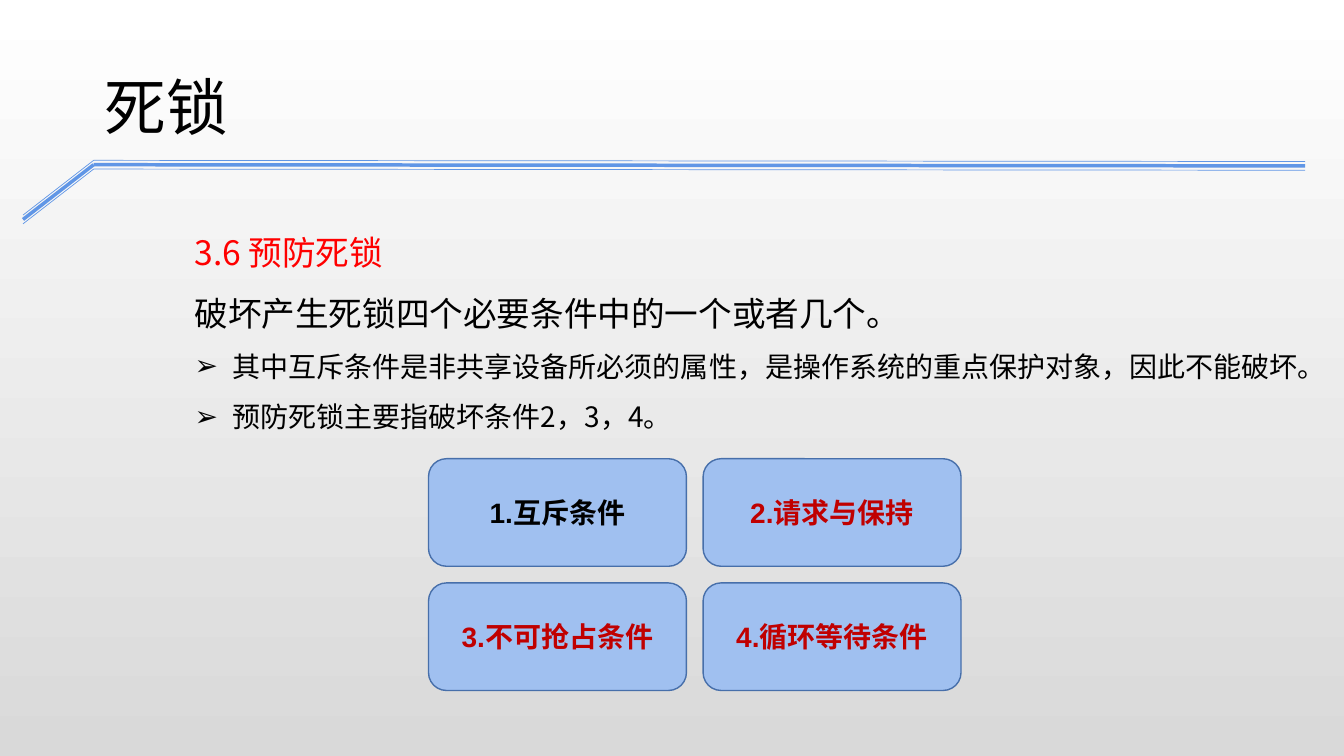
from lxml import etree
from pptx import Presentation
from pptx.dml.color import RGBColor
from pptx.enum.shapes import MSO_CONNECTOR, MSO_SHAPE
from pptx.enum.text import MSO_ANCHOR, MSO_AUTO_SIZE, PP_ALIGN
from pptx.oxml.ns import qn
from pptx.util import Cm, Pt

STRAIGHT = MSO_CONNECTOR.STRAIGHT
ROUNDED = MSO_SHAPE.ROUNDED_RECTANGLE
TOP, MIDDLE = MSO_ANCHOR.TOP, MSO_ANCHOR.MIDDLE
NO_FIT = MSO_AUTO_SIZE.NONE
LEFT, CENTER = PP_ALIGN.LEFT, PP_ALIGN.CENTER

# Content
COLORS = {"black": "000000", "red": "FF0000", "dark_red": "C00000",
          "box": "A0C0F0", "box_line": "476FAA", "rail": "6096E6",
          "bg_top": "FFFFFF", "bg_bottom": "D9D9D9"}
CJK = "Noto Sans CJK JP"
TITLE = "死锁"
BODY = [  # text, size, color, bullet
    ("3.6 预防死锁", 24, "red", None),
    ("破坏产生死锁四个必要条件中的一个或者几个。", 24, "black", None),
    ("其中互斥条件是非共享设备所必须的属性，是操作系统的重点保护对象，因此不能破坏。",
     20, "black", "➢"),
    ("预防死锁主要指破坏条件2，3，4。", 20, "black", "➢"),
]
CONDITIONS = [("1.互斥条件", "black"), ("2.请求与保持", "dark_red"),
              ("3.不可抢占条件", "dark_red"), ("4.循环等待条件", "dark_red")]

# Layout in cm
RAIL_POINTS = [(0.58, 5.42), (2.36, 4.04), (32.89, 4.07)]
RAIL_WIDTHS = [0.5, 2.5, 0.5]
RAIL_STEP = 0.11
BOX_LEFT, BOX_TOP, BOX_W, BOX_H, BOX_GAP = 10.8, 11.56, 6.5, 2.71, 0.42
INDENT = Cm(0.95)


def rgb(name):
    return RGBColor.from_string(COLORS[name])


def write(p, text, size=20, color="black", font=CJK, bold=False,
          align=LEFT, spacing=1.0, bullet=None):
    p.alignment, p.line_spacing = align, spacing
    p.space_before = p.space_after = Pt(0)
    r = p.add_run()
    r.text = text
    r.font.size, r.font.bold, r.font.name = Pt(size), bold, font
    r.font.color.rgb = rgb(color)
    etree.SubElement(r.font._element, qn("a:ea")).set("typeface", CJK)
    pPr = p._p.get_or_add_pPr()
    indent = INDENT if bullet else 0
    pPr.set("marL", str(indent))
    pPr.set("indent", str(-indent))
    if bullet:
        etree.SubElement(pPr, qn("a:buChar")).set("char", bullet)
    else:
        etree.SubElement(pPr, qn("a:buNone"))


def place(sp, left, top, width, height):
    sp.left, sp.top, sp.width, sp.height = map(Cm, (left, top, width, height))
    tf = sp.text_frame
    tf.word_wrap, tf.auto_size, tf.vertical_anchor = True, NO_FIT, TOP
    return tf


prs = Presentation()
prs.slide_width, prs.slide_height = Cm(33.87), Cm(19.05)
s = prs.slides.add_slide(prs.slide_layouts[1])

# Background
fill = s.background.fill
fill.gradient()
fill.gradient_angle = 270
for stop, name in zip(fill.gradient_stops, ("bg_top", "bg_bottom")):
    stop.color.rgb = rgb(name)

# Bent triple rail under the title
for i, width in enumerate(RAIL_WIDTHS):
    dy = i * RAIL_STEP
    for (x1, y1), (x2, y2) in zip(RAIL_POINTS, RAIL_POINTS[1:]):
        rail = s.shapes.add_connector(STRAIGHT, Cm(x1), Cm(y1 + dy), Cm(x2), Cm(y2 + dy))
        rail.line.color.rgb = rgb("rail")
        rail.line.width = Pt(width)
        etree.SubElement(rail._element.spPr, qn("a:effectLst"))

# Title and body
tf = place(s.shapes.title, 2.39, 1.6, 24.18, 4.01)
write(tf.paragraphs[0], TITLE, size=44)
tf = place(s.placeholders[1], 4.65, 5.21, 29.08, 7.19)
for i, (text, size, color, bullet) in enumerate(BODY):
    p = tf.add_paragraph() if i else tf.paragraphs[0]
    write(p, text, size=size, color=color, spacing=1.5, bullet=bullet)

# Two by two grid of conditions
for i, (text, color) in enumerate(CONDITIONS):
    row, col = divmod(i, 2)
    box = s.shapes.add_shape(ROUNDED, Cm(BOX_LEFT + col * (BOX_W + BOX_GAP)),
                             Cm(BOX_TOP + row * (BOX_H + BOX_GAP)), Cm(BOX_W), Cm(BOX_H))
    box.shadow.inherit = False
    box.fill.solid()
    box.fill.fore_color.rgb = rgb("box")
    box.line.color.rgb = rgb("box_line")
    box.line.width = Pt(1)
    tf = box.text_frame
    tf.word_wrap, tf.vertical_anchor = True, MIDDLE
    write(tf.paragraphs[0], text, color=color, font="Arial", bold=True, align=CENTER)

prs.save("out.pptx")
